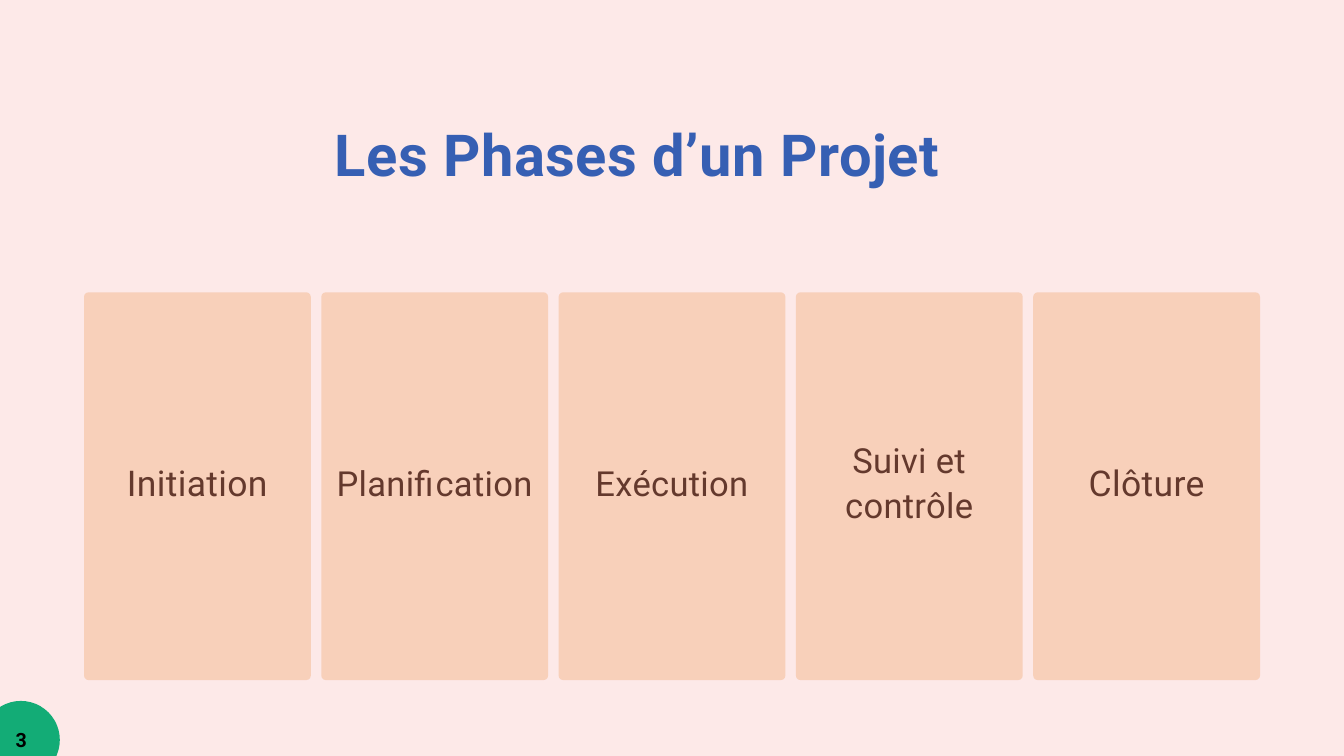
"""Build a slide showing the five phases of a project."""
from pptx import Presentation
from pptx import util as u
from pptx.dml.color import RGBColor
from pptx.enum import shapes, text

PINK = RGBColor(0xFD, 0xE9, 0xE8)
PEACH = RGBColor(0xF8, 0xD0, 0xBA)
BLUE = RGBColor(0x36, 0x5F, 0xB3)
BROWN = RGBColor(0x64, 0x39, 0x2D)
GREEN = RGBColor(0x13, 0xAC, 0x76)
BLACK = RGBColor(0, 0, 0)

PHASES = [("Initiation", 38), ("Planification", 37), ("Exécution", 37),
          ("Suivi et contrôle", 37), ("Clôture", 38)]
LEFT, WIDTH, GAP = 90, 243, 11.25


class Deck:
    font = "Roboto"

    def __init__(self, slide):
        self.slide = slide

    def ground(self, color):
        fill = self.slide.background.fill
        fill.solid()
        fill.fore_color.rgb = color

    def shape(self, kind, box, color):
        item = self.slide.shapes.add_shape(kind, *map(u.Pt, box))
        item.shadow.inherit = False
        item.fill.solid()
        item.fill.fore_color.rgb = color
        item.line.fill.background()
        return item

    def card(self, box, color):
        item = self.shape(shapes.MSO_SHAPE.ROUNDED_RECTANGLE, box, color)
        item.adjustments[0] = 0.02

    def disc(self, box, color):
        self.shape(shapes.MSO_SHAPE.OVAL, box, color)

    def label(self, words, box, size, color, lead=1.3, track=40, bold=False,
              inset=5, anchor=text.MSO_ANCHOR.MIDDLE):
        frame = self.slide.shapes.add_textbox(*map(u.Pt, box)).text_frame
        frame.word_wrap = True
        frame.vertical_anchor = anchor
        frame.margin_left = frame.margin_right = u.Pt(inset)
        frame.margin_top = frame.margin_bottom = u.Pt(inset)
        frame.text = words
        para = frame.paragraphs[0]
        para.alignment = text.PP_ALIGN.CENTER
        para.line_spacing = u.Pt(size * lead)
        for run in para.runs:
            run.font.name = self.font
            run.font.size = u.Pt(size)
            run.font.bold = bold
            run.font.color.rgb = color
            run._r.get_or_add_rPr().set("spc", str(track))


def main():
    show = Presentation()
    show.slide_width, show.slide_height = u.Pt(1440), u.Pt(810)
    deck = Deck(show.slides.add_slide(show.slide_layouts[6]))
    deck.ground(PINK)
    deck.label("Les Phases d’un Projet", (166, 139.7, 1034, 126.7), 62, BLUE,
               lead=1, track=60, bold=True, inset=0,
               anchor=text.MSO_ANCHOR.TOP)
    for i, (name, size) in enumerate(PHASES):
        left = LEFT + i * (WIDTH + GAP)
        deck.card((left, 313.2, WIDTH, 415.5), PEACH)
        deck.label(name, (left, 301.7, WIDTH, 427), size, BROWN)
    deck.disc((-19.4, 751, 83.5, 83.5), GREEN)
    deck.label("3", (-11.5, 756.7, 68.4, 69.8), 21, BLACK, track=20, bold=True,
               inset=4.3)
    show.save("out.pptx")


if __name__ == "__main__":
    main()
